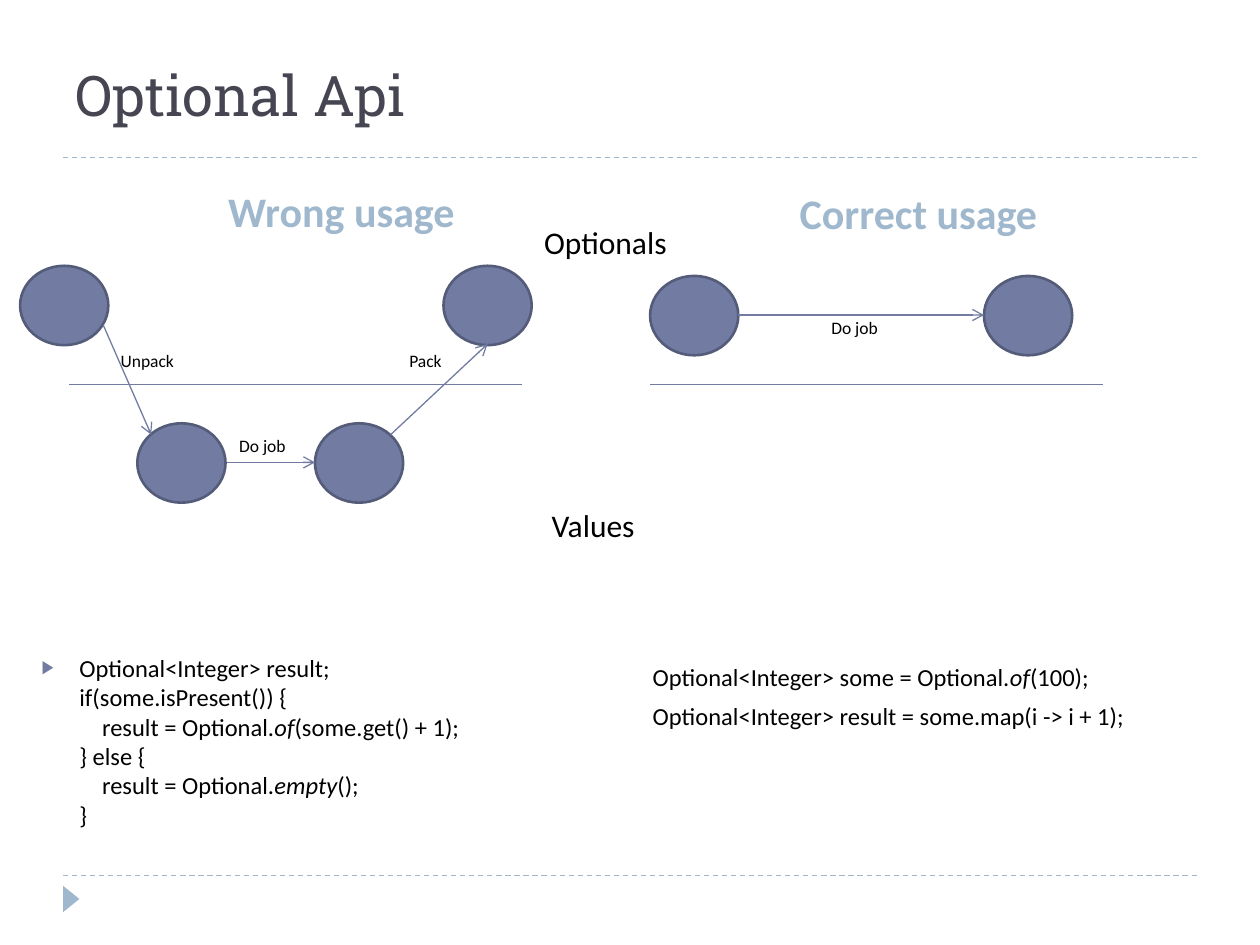
from dataclasses import dataclass
from pptx import Presentation
from pptx.dml.color import RGBColor
from pptx.enum import dml, shapes, text
from pptx.oxml import ns, xmlchemy
from pptx.util import Inches, Pt


@dataclass
class Theme:
    ink: str = "000000"
    head: str = "464653"
    pale: str = "9FB8CD"
    main: str = "727CA3"
    edge: str = "545C79"
    font: str = "Calibri"
    slab: str = "Roboto Slab"
    title: int = 32
    sub: int = 24
    zone: int = 18
    code: int = 14
    note: int = 10


look = Theme()
deck = Presentation()
deck.slide_width, deck.slide_height = Inches(10), Inches(7.5)
slide = deck.slides.add_slide(deck.slide_layouts.get_by_name("Comparison"))
items = slide.shapes


def write(shape, lines, size, box=None, color=look.ink, font=look.font, bold=False,
          align=text.PP_ALIGN.LEFT, anchor=text.MSO_ANCHOR.TOP, wrap=True,
          gap=0, bullet=None):
    """Fill a shape with (indent, text) lines; *stars* mark italics."""
    if box:
        shape.left, shape.top, shape.width, shape.height = map(Inches, box)
    frame = shape.text_frame
    frame.word_wrap, frame.vertical_anchor = wrap, anchor
    frame.auto_size = text.MSO_AUTO_SIZE.NONE
    for row, (indent, line) in enumerate(lines):
        para = frame.add_paragraph() if row else frame.paragraphs[0]
        para.alignment = align
        para.space_before = Pt(gap if row else 0)
        props = para._p.get_or_add_pPr()
        mark = bullet if row == 0 else None
        props.set("marL", str(Inches(indent)))
        props.set("indent", str(-Inches(indent) if mark else 0))
        if mark:
            color_tag = xmlchemy.OxmlElement("a:buClr")
            rgb = xmlchemy.OxmlElement("a:srgbClr")
            rgb.set("val", look.main)
            color_tag.append(rgb)
            scale = xmlchemy.OxmlElement("a:buSzPct")
            scale.set("val", "76000")
            sign = xmlchemy.OxmlElement("a:buChar")
            sign.set("char", mark)
            props.extend([color_tag, scale, sign])
        else:
            props.append(xmlchemy.OxmlElement("a:buNone"))
        for part, words in enumerate(line.split("*")):
            run = para.add_run()
            run.text = words
            run.font.name, run.font.size = font, Pt(size)
            run.font.bold, run.font.italic = bold, part % 2 == 1
            run.font.color.rgb = RGBColor.from_string(color)


def draw_line(start, end, color=look.main, dash=False, arrow=False):
    line = items.add_connector(shapes.MSO_CONNECTOR.STRAIGHT,
                               *map(Inches, start + end))
    line.line.width = Pt(0.75)
    line.line.color.rgb = RGBColor.from_string(color)
    if dash:
        line.line.dash_style = dml.MSO_LINE.DASH
    if arrow:
        tip = xmlchemy.OxmlElement("a:tailEnd")
        tip.set("type", "arrow")
        line._element.spPr.find(ns.qn("a:ln")).append(tip)
    line._element.spPr.append(xmlchemy.OxmlElement("a:effectLst"))


# Frame: dashed rules and corner mark
for y in (6.95, 1.25):
    draw_line((0.5, y), (9.5, y), look.pale, dash=True)
mark = items.add_shape(shapes.MSO_SHAPE.ISOSCELES_TRIANGLE,
                       *map(Inches, (0.46, 7.07, 0.21, 0.13)))
mark.rotation = 90
mark.shadow.inherit = False
mark.fill.solid()
mark.fill.fore_color.rgb = RGBColor.from_string(look.pale)
mark.line.fill.background()

# Title and column heads
title, left_head, left_code, right_head, right_code = slide.placeholders
write(title, [(0, "Optional Api")], look.title, (0.5, 0.25, 9, 1), look.head,
      look.slab, anchor=text.MSO_ANCHOR.MIDDLE)
for head, words, box in ((left_head, "Wrong usage", (0.5, 1.33, 4.42, 0.59)),
                         (right_head, "Correct usage", (5.08, 1.41, 4.42, 0.53))):
    write(head, [(0, words)], look.sub, box, look.pale, bold=True,
          align=text.PP_ALIGN.CENTER, anchor=text.MSO_ANCHOR.BOTTOM)

# Code samples
write(left_code, [(0.3, "Optional<Integer> result;"),
                  (0.3, "if(some.isPresent()) {"),
                  (0.48, "result = Optional.*of*(some.get() + 1);"),
                  (0.3, "} else {"),
                  (0.48, "result = Optional.*empty*();"),
                  (0.3, "}")],
      look.code, (0.23, 5.13, 4.68, 1.62), bullet="▶")
write(right_code, [(0, "Optional<Integer> some = Optional.*of*(100);"),
                   (0, "Optional<Integer> result = some.map(i -> i + 1);")],
      look.code, (5.08, 5.2, 4.42, 1.55), gap=6)

# Nodes
for x, y in ((0.16, 2.11), (1.09, 3.36), (2.5, 3.36), (3.52, 2.11),
             (5.16, 2.19), (7.81, 2.19)):
    node = items.add_shape(shapes.MSO_SHAPE.OVAL, *map(Inches, (x, y, 0.7, 0.63)))
    node.shadow.inherit = False
    node.fill.solid()
    node.fill.fore_color.rgb = RGBColor.from_string(look.main)
    node.line.color.rgb = RGBColor.from_string(look.edge)
    node.line.width = Pt(1.5)

# Steps between nodes
for start, end in (((0.82, 2.58), (1.2, 3.45)), ((1.8, 3.67), (2.5, 3.67)),
                   ((3.1, 3.45), (3.87, 2.73)), ((5.86, 2.5), (7.81, 2.5))):
    draw_line(start, end, arrow=True)

# Border between optionals and values
for x in (0.55, 5.16):
    draw_line((x, 3.05), (x + 3.59, 3.05))

# Labels
for words, size, box in (("Optionals", look.zone, (4.22, 1.72, 1.27, 0.4)),
                         ("Values", look.zone, (4.28, 3.97, 0.95, 0.4)),
                         ("Unpack", look.note, (0.86, 2.73, 0.68, 0.27)),
                         ("Pack", look.note, (3.15, 2.73, 0.51, 0.27)),
                         ("Do job", look.note, (1.8, 3.4, 0.61, 0.27)),
                         ("Do job", look.note, (6.5, 2.47, 0.61, 0.27))):
    label = items.add_textbox(*map(Inches, box))
    write(label, [(0, words)], size, wrap=False)

deck.save("out.pptx")
